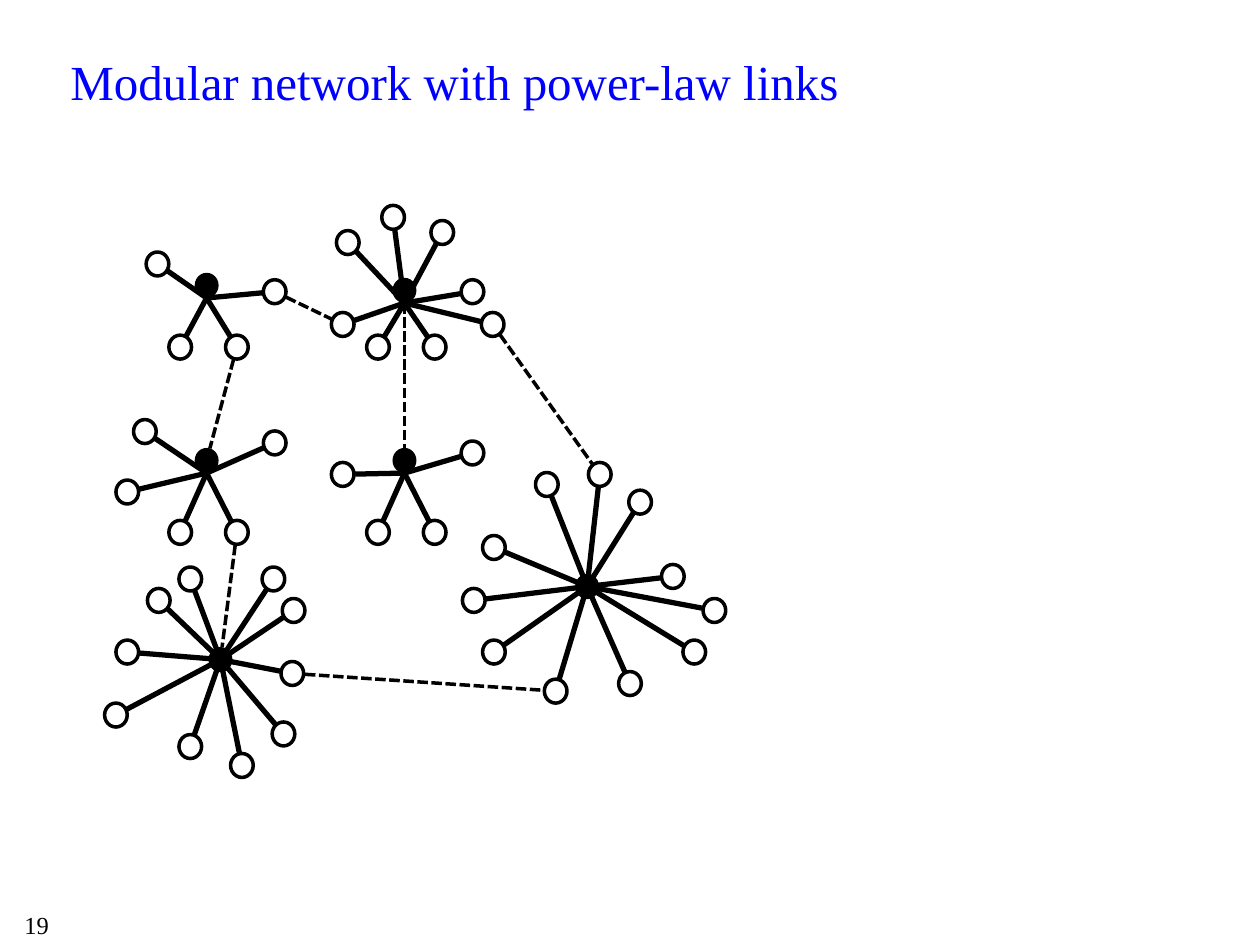
"""Build a slide showing a modular network with power-law links."""
from dataclasses import dataclass
from math import dist

from lxml import etree
from pptx import Presentation
from pptx.dml.color import RGBColor
from pptx.enum.dml import MSO_LINE
from pptx.enum.shapes import MSO_CONNECTOR, MSO_SHAPE
from pptx.enum.text import PP_ALIGN
from pptx.oxml.ns import qn
from pptx.util import Inches, Pt

OVAL = MSO_SHAPE.OVAL
STRAIGHT = MSO_CONNECTOR.STRAIGHT
DASH = MSO_LINE.SQUARE_DOT
LEFT, CENTER = PP_ALIGN.LEFT, PP_ALIGN.CENTER


@dataclass(frozen=True)
class Theme:
    font: str = "Times New Roman"
    ink: RGBColor = RGBColor(0, 0, 0)
    heading: RGBColor = RGBColor(0, 0, 255)
    heading_size: Pt = Pt(28)
    number_size: Pt = Pt(14)
    hub_outline: Pt = Pt(0.75)
    node_outline: Pt = Pt(2)
    spoke: Pt = Pt(3)
    bridge: Pt = Pt(2)


THEME = Theme()
NODE_WIDTH, NODE_HEIGHT = 0.18, 0.19
RADIUS = 0.1
COLUMN_STEP = 1.57

GRID = [
    (0, 2.17, 2.66, 2.22, [(1.16, 2)]),
    (1, 2.21, 2.66, 2.22,
     [(2.63, 2.48), (3.82, 2.48), (3.03, 1.63), (3.42, 1.75), (2.67, 1.83)]),
    (0, 3.56, 4.13, 3.42, [(1.06, 3.33), (0.92, 3.81)]),
    (1, 3.56, 4.13, 3.5, [(2.63, 3.67)]),
]
STARS = [
    [(1.66, 5.14), (2.23, 5.25), (1.83, 5.98), (1.42, 5.83), (0.92, 5.08), (2.16, 5.73),
     (1.17, 4.67), (2.24, 4.75), (0.83, 5.58), (2.08, 4.5), (1.42, 4.5)],
    [(4.57, 4.56), (4.32, 5.39), (4.67, 3.67), (4.91, 5.33), (3.67, 4.67), (3.83, 5.08),
     (5.42, 5.08), (5.58, 4.75), (3.83, 4.25), (5.25, 4.48), (4.99, 3.89), (4.25, 3.75)],
]
TEXTS = [
    ("Modular network with power-law links", (0.46, 0.22, 8.5, 1.25), 0.19, LEFT,
     THEME.heading_size, THEME.heading),
    ("19", (-0.45, 7.17, 1.48, 0.33), 0.05, CENTER, THEME.number_size, THEME.ink),
]

prs = Presentation()
prs.slide_width, prs.slide_height = Inches(10), Inches(7.5)
slide = prs.slides.add_slide(prs.slide_layouts[6])


def add_link(start, end, start_gap, width):
    length = dist(start, end)
    unit_x, unit_y = (end[0] - start[0]) / length, (end[1] - start[1]) / length
    ends = (start[0] + unit_x * start_gap, start[1] + unit_y * start_gap,
            end[0] - unit_x * RADIUS, end[1] - unit_y * RADIUS)
    link = slide.shapes.add_connector(STRAIGHT, *map(Inches, ends))
    link.line.color.rgb = THEME.ink
    link.line.width = width
    etree.SubElement(link._element.spPr, qn("a:effectLst"))
    return link


for wording, place, top_margin, alignment, size, color in TEXTS:
    frame = slide.shapes.add_textbox(*map(Inches, place)).text_frame
    frame.word_wrap = True
    frame.margin_top = Inches(top_margin)
    paragraph = frame.paragraphs[0]
    paragraph.alignment = alignment
    run = paragraph.add_run()
    run.text = wording
    run.font.name = THEME.font
    run.font.size = size
    run.font.color.rgb = color

modules = []
for column, hub_top, foot_top, arm_top, others in GRID:
    shift = column * COLUMN_STEP
    shared = [(1.55, hub_top), (1.34, foot_top), (1.79, foot_top), (2.09, arm_top)]
    modules.append([(left + shift, top) for left, top in shared] + others)
modules += STARS

centers = []
for module in modules:
    middles = [(left + NODE_WIDTH / 2, top + NODE_HEIGHT / 2) for left, top in module]
    centers.append(middles)
    for position, corner in enumerate(module):
        is_hub = position == 0
        node = slide.shapes.add_shape(
            OVAL, *map(Inches, (*corner, NODE_WIDTH, NODE_HEIGHT)))
        node.shadow.inherit = False
        node.line.color.rgb = THEME.ink
        node.line.width = THEME.hub_outline if is_hub else THEME.node_outline
        if is_hub:
            node.fill.solid()
            node.fill.fore_color.rgb = THEME.ink
        else:
            node.fill.background()
    hub_x, hub_y = middles[0]
    drop = 0 if module in STARS else RADIUS
    for middle in middles[1:]:
        add_link((hub_x, hub_y + drop), middle, 0, THEME.spoke)

top_left, top_right, mid_left, mid_right, low_left, low_right = centers
BRIDGES = [
    (top_left[3], top_right[4]),
    (top_left[2], mid_left[0]),
    (top_right[0], mid_right[0]),
    (top_right[5], low_right[2]),
    (mid_left[2], low_left[0]),
    (low_left[1], low_right[1]),
]
for start, end in BRIDGES:
    add_link(start, end, RADIUS, THEME.bridge).line.dash_style = DASH

prs.save("out.pptx")
